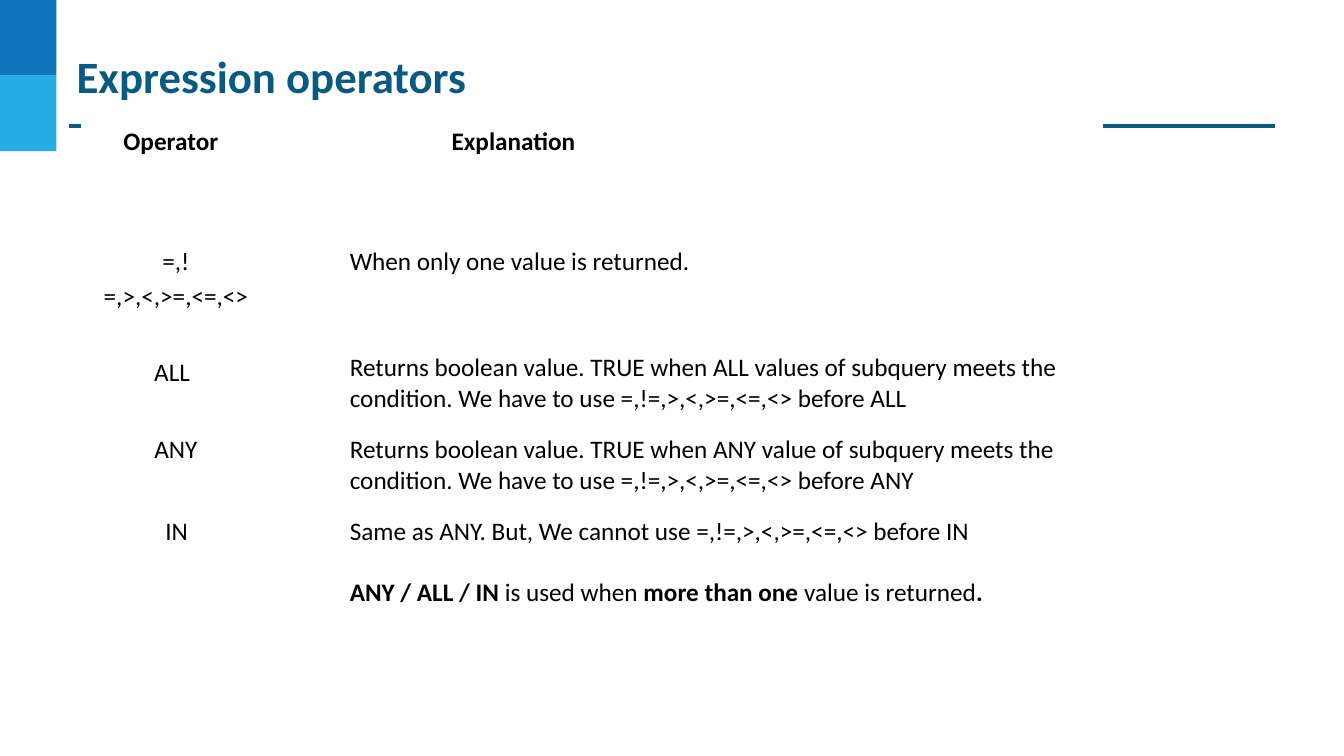
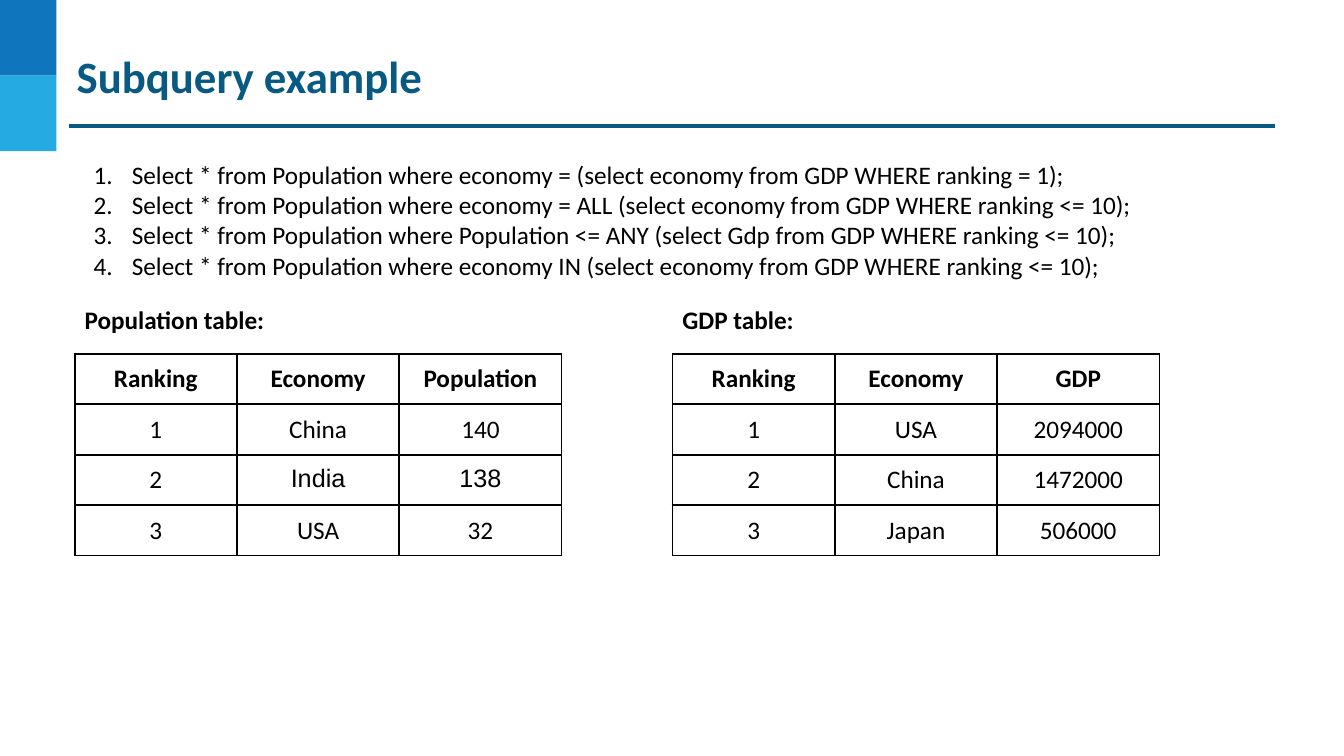
from lxml.etree import SubElement as sub
from pptx import Presentation
from pptx.dml.color import RGBColor
from pptx.enum.shapes import MSO_CONNECTOR as CONN, MSO_SHAPE as SHAPE
from pptx.enum.text import MSO_ANCHOR as ANCHOR, PP_ALIGN as ALIGN
from pptx.oxml import parse_xml
from pptx.oxml.ns import nsdecls, qn
from pptx.util import Inches, Pt

rgb = RGBColor.from_string
NAVY, BLUE, SKY = "095A82", "0F75BD", "25AAE2"
BLACK, WHITE = "000000", "FFFFFF"
PAD = Inches(0.1)


def write(para, text, bold=False, size=18, color=BLACK, font="Calibri"):
    run = para.add_run()
    run.text = text
    run.font.name, run.font.size, run.font.bold = font, Pt(size), bold
    run.font.color.rgb = rgb(color)


def grid(slide, left, top, cols, rows, color, width):
    """Add a white table whose cells all have the same border."""
    table = slide.shapes.add_table(
        len(rows), len(cols), Inches(left), Inches(top),
        Inches(sum(cols)), Inches(sum(rows))).table
    table.first_row = table.horz_banding = False
    for col, wide in zip(table.columns, cols):
        col.width = Inches(wide)
    for row, high in zip(table.rows, rows):
        row.height = Inches(high)
    for cell in table.iter_cells():
        cell.margin_left = cell.margin_right = PAD
        cell.margin_top = cell.margin_bottom = PAD
        props = cell._tc.get_or_add_tcPr()
        for side in ("lnL", "lnR", "lnT", "lnB"):
            props.append(parse_xml(
                f'<a:{side} {nsdecls("a")} w="{Pt(width)}"><a:solidFill>'
                f'<a:srgbClr val="{color}"/></a:solidFill></a:{side}>'))
        cell.fill.solid()
        cell.fill.fore_color.rgb = rgb(WHITE)
    return table


prs = Presentation()
prs.slide_width, prs.slide_height = Inches(13.33), Inches(7.5)
layout = prs.slide_layouts[5]

# Slides and their titles
slides = []
for name in ("Expression operators", "Subquery example"):
    slide = prs.slides.add_slide(layout)
    title = slide.shapes.title
    title.left, title.top = Inches(0.74), Inches(0.46)
    title.width, title.height = Inches(11.97), Inches(0.58)
    frame = title.text_frame
    frame.margin_left = frame.margin_right = Inches(0.02)
    frame.margin_top = frame.margin_bottom = Inches(0.02)
    frame.vertical_anchor = ANCHOR.TOP
    frame.paragraphs[0].alignment = ALIGN.LEFT
    write(frame.paragraphs[0], name, True, 32, NAVY)
    slides.append(slide)
ops, query = slides

# Bands and title rule, moved to the shared layout
for i, color in enumerate((BLUE, SKY)):
    band = ops.shapes.add_shape(SHAPE.RECTANGLE, 0, Inches(0.75 * i),
                                Inches(0.56), Inches(0.75))
    band.shadow.inherit = False
    band.fill.solid()
    band.fill.fore_color.rgb = rgb(color)
    band.line.fill.background()
    layout.shapes.element.append(band.element)
rule = ops.shapes.add_connector(CONN.STRAIGHT, Inches(0.68), Inches(1.25),
                                Inches(12.65), Inches(1.25))
rule.line.color.rgb = rgb(NAVY)
rule.line.width = Pt(2.25)
sub(rule.element.spPr, qn("a:effectLst"))
layout.shapes.element.append(rule.element)

# Operators: text, left margin, alignment and line spacing of each cell
ANY_ALL = ("Returns boolean value. TRUE when {0} {1} of subquery meets the "
           "condition. We have to use =,!=,>,<,>=,<=,<> before {0}")
MID, LEFT = ALIGN.CENTER, ALIGN.LEFT
cells = [
    ("Operator", 0.1, MID, 1), ("Explanation", 1.9, LEFT, 1),
    ("=,!=,>,<,>=,<=,<>", 0.1, MID, 1.15),
    ("When only one value is returned.", 0.89, LEFT, 1.15),
    ("ALL", 0.72, LEFT, 1.15),
    (ANY_ALL.format("ALL", "values"), 0.89, LEFT, 1),
    ("ANY", 0.2, MID, 1), (ANY_ALL.format("ANY", "value"), 0.89, LEFT, 1),
    ("IN", 0.83, LEFT, 1),
    ("Same as ANY. But, We cannot use =,!=,>,<,>=,<=,<> before IN",
     0.89, LEFT, 1),
]
table = grid(ops, 0.81, 1.15, (1.77, 8.35), (1.15, 1.1, 0.8, 0.8, 1.1),
             WHITE, 0.75)
for i, (text, left, align, space) in enumerate(cells):
    cell = table.cell(i // 2, i % 2)
    cell.margin_left = Inches(left)
    para = cell.text_frame.paragraphs[0]
    para.alignment, para.line_spacing = align, space
    write(para, text, bold=i < 2)
table.cell(1, 0).margin_right = 0

# Closing remark in the last cell
para = table.cell(4, 1).text_frame.add_paragraph()
para.space_before = Pt(22)
for text, bold in (("ANY / ALL / IN ", True), ("is used when", False),
                   (" more than one ", True), ("value is returned", False),
                   (".", True)):
    write(para, text, bold)

# Numbered queries
box = query.shapes.add_textbox(Inches(0.71), Inches(1.48),
                               Inches(11.91), Inches(1.41))
frame = box.text_frame
frame.word_wrap = True
frame.margin_left = frame.margin_right = PAD
frame.margin_top = frame.margin_bottom = PAD
for i, test in enumerate((
        "economy = (select economy from GDP WHERE ranking = 1);",
        "economy = ALL (select economy from GDP WHERE ranking <= 10);",
        "Population <= ANY (select Gdp from GDP WHERE ranking <= 10);",
        "economy IN (select economy from GDP WHERE ranking <= 10);")):
    para = frame.add_paragraph() if i else frame.paragraphs[0]
    props = para._p.get_or_add_pPr()
    props.set("marL", str(Inches(0.5)))
    props.set("indent", str(Inches(-0.38)))
    sub(props, qn("a:buAutoNum"), type="arabicPeriod")
    write(para, "Select * from Population where " + test)

# Labelled data tables
data = {
    "Population": (0.74, [("1", "China", "140"), ("2", "India", "138"),
                          ("3", "USA", "32")]),
    "GDP": (6.67, [("1", "USA", "2094000"), ("2", "China", "1472000"),
                   ("3", "Japan", "506000")]),
}
for name, (left, rows) in data.items():
    table = grid(query, left, 3.51, [1.61] * 3, [0.5] * 4, BLACK, 1.5)
    for r, row in enumerate([("Ranking", "Economy", name)] + rows):
        for c, text in enumerate(row):
            para = table.cell(r, c).text_frame.paragraphs[0]
            para.alignment = MID
            font = "Arial" if text in ("India", "138") else "Calibri"
            write(para, text, bold=r == 0, font=font)

    label = query.shapes.add_shape(SHAPE.RECTANGLE, Inches(left), Inches(3),
                                   Inches(2.11), Inches(0.34))
    label.shadow.inherit = False
    label.fill.solid()
    label.fill.fore_color.rgb = label.line.color.rgb = rgb(WHITE)
    label.line.width = Pt(0.75)
    frame = label.text_frame
    frame.margin_left = frame.margin_right = PAD
    frame.margin_top = frame.margin_bottom = PAD
    frame.vertical_anchor = ANCHOR.MIDDLE
    frame.paragraphs[0].alignment = LEFT
    write(frame.paragraphs[0], name + " table:", True)

prs.save("out.pptx")
